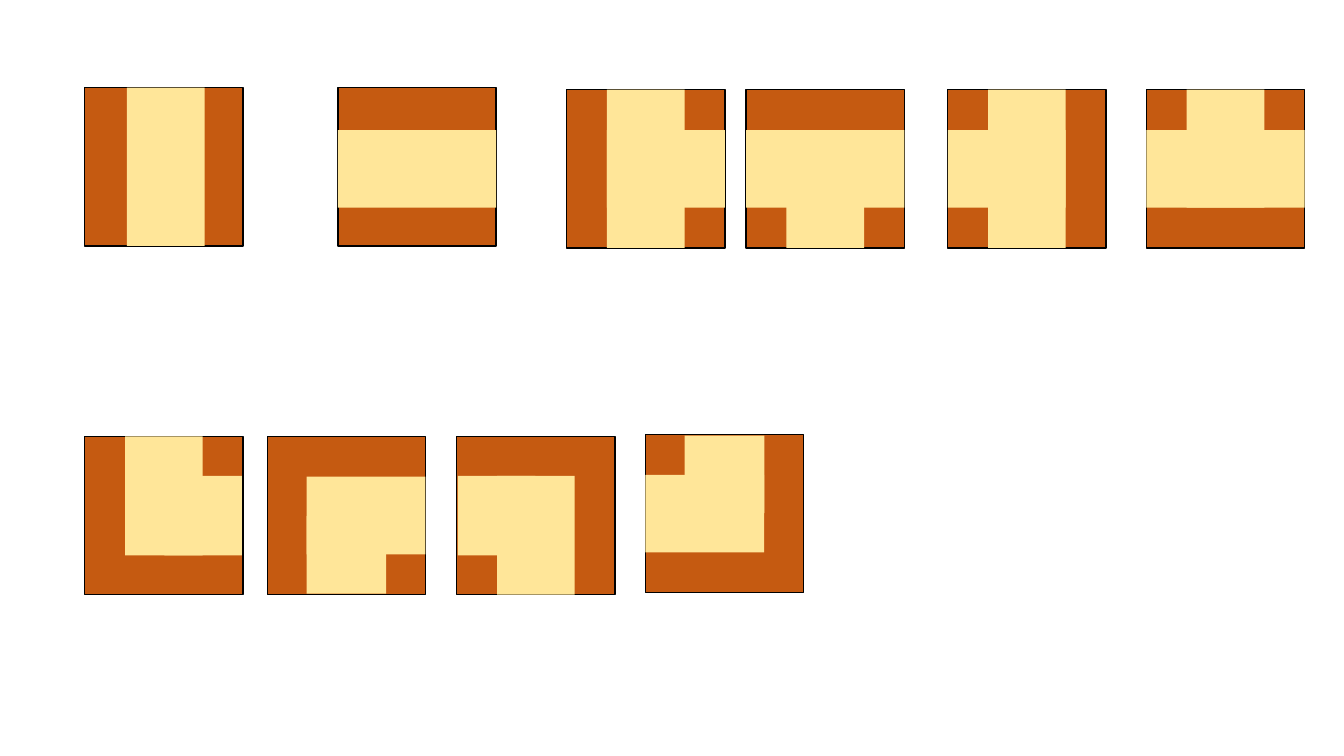
from dataclasses import dataclass
from enum import Enum

from pptx import Presentation
from pptx.dml.color import RGBColor
from pptx.enum.shapes import MSO_SHAPE
from pptx.shapes.autoshape import Shape
from pptx.shapes.group import GroupShape
from pptx.slide import Slide
from pptx.util import Inches, Pt


@dataclass(frozen=True)
class Theme:
    """Colours and line width of the tiles."""
    ground: RGBColor = RGBColor(0xC5, 0x5A, 0x11)
    road: RGBColor = RGBColor(0xFF, 0xE6, 0x99)
    border: RGBColor = RGBColor(0, 0, 0)
    border_width: Pt = Pt(1)


@dataclass(frozen=True)
class Box:
    """A rectangle in inches."""
    left: float
    top: float
    width: float
    height: float


class Roads(Enum):
    """Road pieces of each tile kind, measured from the tile's corner."""
    STRAIGHT = (Box(0.42, 0, 0.77, 1.57),)
    TEE = (Box(0.4, 0, 0.77, 1.57), Box(0.4, 0.4, 1.17, 0.77))
    CORNER = (Box(0.79, 0.39, 0.77, 0.79), Box(0.4, 0, 0.77, 1.18))


@dataclass(frozen=True)
class Tile:
    """A road tile, its place in inches and its clockwise turn in degrees."""
    roads: Roads
    left: float
    top: float
    turn: int = 0


THEME = Theme()
TILE_SIDE = 1.57
TILES = (
    Tile(Roads.STRAIGHT, 0.84, 0.87),
    Tile(Roads.CORNER, 0.84, 4.33),
    Tile(Roads.TEE, 5.62, 0.89),
    Tile(Roads.STRAIGHT, 3.35, 0.87, 90),
    Tile(Roads.CORNER, 2.65, 4.33, 90),
    Tile(Roads.CORNER, 4.53, 4.33, 180),
    Tile(Roads.CORNER, 6.4, 4.31, 270),
    Tile(Roads.TEE, 7.4, 0.89, 90),
    Tile(Roads.TEE, 9.4, 0.89, 180),
    Tile(Roads.TEE, 11.37, 0.89, 270),
)


def add_block(group: GroupShape, tile: Tile, box: Box, color: RGBColor) -> Shape:
    """Add a plain filled rectangle, placed relative to its tile."""
    block = group.shapes.add_shape(
        MSO_SHAPE.RECTANGLE,
        Inches(tile.left + box.left), Inches(tile.top + box.top),
        Inches(box.width), Inches(box.height))
    block.shadow.inherit = False
    block.fill.solid()
    block.fill.fore_color.rgb = color
    block.line.fill.background()
    return block


def add_tile(page: Slide, tile: Tile) -> None:
    """Group the bordered ground with its roads, then turn the group."""
    group = page.shapes.add_group_shape()
    ground = add_block(group, tile, Box(0, 0, TILE_SIDE, TILE_SIDE), THEME.ground)
    ground.line.color.rgb = THEME.border
    ground.line.width = THEME.border_width
    for road in tile.roads.value:
        add_block(group, tile, road, THEME.road)
    group.rotation = tile.turn


def main() -> None:
    """Build the page of road tiles."""
    deck = Presentation()
    deck.slide_width, deck.slide_height = Inches(13.33), Inches(7.5)
    page = deck.slides.add_slide(deck.slide_layouts.get_by_name("Blank"))
    for tile in TILES:
        add_tile(page, tile)
    deck.save("out.pptx")


main()
